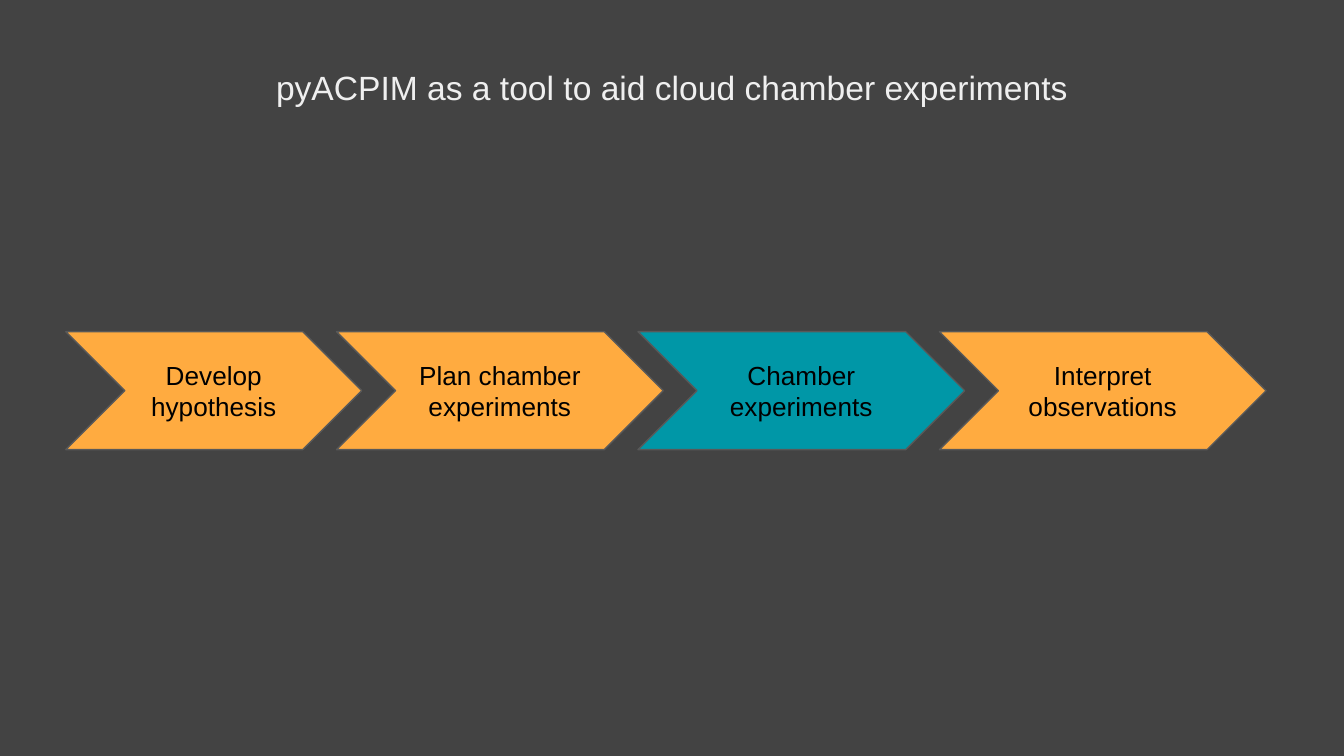
from pptx import Presentation
from pptx.dml.color import RGBColor
from pptx.enum.shapes import MSO_SHAPE as Shape
from pptx.enum.text import MSO_ANCHOR as Anchor, PP_ALIGN as Align
from pptx.util import Pt

COLORS = {
    "background": "434343",
    "title": "EFEFEF",
    "label": "000000",
    "outline": "595959",
    "model": "FFAB40",
    "chamber": "0097A7",
}
FONT = "Arial"
INSET = 7.2

# Process row: label, width, fill
STEPS = [
    ("Develop hypothesis", 158.5, "model"),
    ("Plan chamber experiments", 175, "model"),
    ("Chamber experiments", 175, "chamber"),
    ("Interpret observations", 175, "model"),
]
ROW_LEFT, ROW_TOP, ROW_HEIGHT = 35.3, 177.7, 63.2
OVERLAP = 13.5


def color(name):
    return RGBColor.from_string(COLORS[name])


def write_text(box, text, size, color_name, anchor):
    frame = box.text_frame
    frame.word_wrap = True
    frame.vertical_anchor = anchor
    frame.margin_left = frame.margin_right = Pt(INSET)
    frame.margin_top = frame.margin_bottom = Pt(INSET)
    para = frame.paragraphs[0]
    para.text = text
    para.alignment = Align.CENTER
    para.font.name = FONT
    para.font.size = Pt(size)
    para.font.color.rgb = color(color_name)


def add_title(page, text):
    box = page.shapes.add_textbox(Pt(17.3), Pt(28.8), Pt(685.4), Pt(41))
    write_text(box, text, 18, "title", Anchor.TOP)


def add_chevron(page, left, width, label, fill):
    chevron = page.shapes.add_shape(
        Shape.CHEVRON, Pt(left), Pt(ROW_TOP), Pt(width), Pt(ROW_HEIGHT))
    chevron.shadow.inherit = False
    chevron.adjustments[0] = 0.5
    chevron.fill.solid()
    chevron.fill.fore_color.rgb = color(fill)
    chevron.line.color.rgb = color("outline")
    chevron.line.width = Pt(0.75)
    write_text(chevron, label, 14, "label", Anchor.MIDDLE)


def main():
    deck = Presentation()
    deck.slide_width, deck.slide_height = Pt(720), Pt(405)
    page = deck.slides.add_slide(deck.slide_layouts[6])
    page.background.fill.solid()
    page.background.fill.fore_color.rgb = color("background")

    add_title(page, "pyACPIM as a tool to aid cloud chamber experiments")

    # Each chevron nests into the one before it
    left = ROW_LEFT
    for label, width, fill in STEPS:
        add_chevron(page, left, width, label, fill)
        left += width - OVERLAP

    deck.save("out.pptx")


if __name__ == "__main__":
    main()
